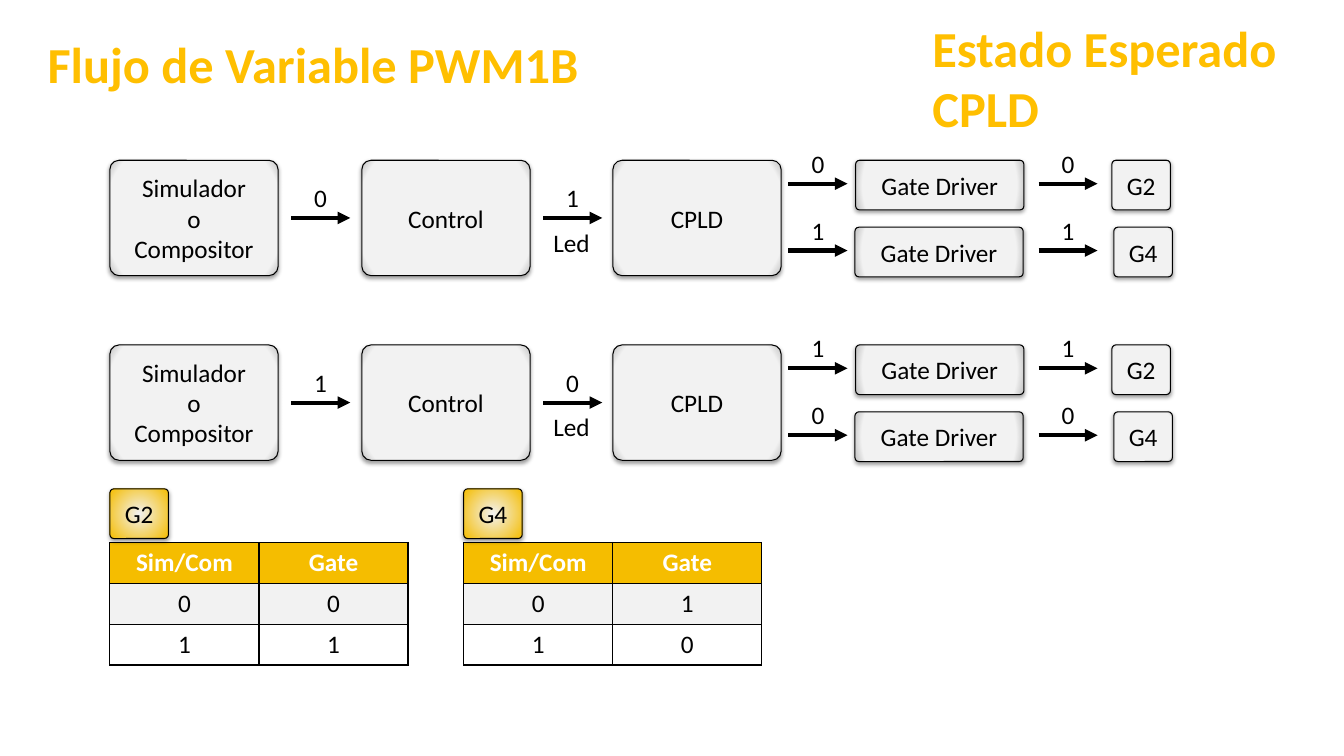
from pptx import Presentation, oxml, util as u
from pptx.dml.color import RGBColor
from pptx.enum import shapes, text
from pptx.oxml import ns

BLACK = RGBColor(0x00, 0x00, 0x00)
WHITE = RGBColor(0xFF, 0xFF, 0xFF)
GRAY = RGBColor(0xF2, 0xF2, 0xF2)
SHADE = RGBColor(0xBF, 0xBF, 0xBF)
AMBER = RGBColor(0xFF, 0xBF, 0x00)
GOLD = RGBColor(0xF5, 0xBD, 0x00)
CENTER = text.PP_ALIGN.CENTER

STAGE = (120.2, 82.4)
DRIVER = (120.2, 35.5)
GATE = (41.8, 35.5)
ARROW = 42.2


def element(xml):
    return oxml.parse_xml(xml.replace(">", f" {ns.nsdecls('a')}>", 1))


class Diagram:
    font = "Calibri"
    size = 18

    def __init__(self, slide):
        self.slide = slide

    def fill_text(self, frame, lines, color=BLACK, size=None, bold=False, align=CENTER):
        frame.text = lines
        for paragraph in frame.paragraphs:
            paragraph.alignment = align
            paragraph.font.name = self.font
            paragraph.font.size = u.Pt(size or self.size)
            paragraph.font.bold = bold
            paragraph.font.color.rgb = color

    def label(self, x, y, width, lines):
        box = self.slide.shapes.add_textbox(u.Pt(x), u.Pt(y), u.Pt(width), u.Pt(29))
        box.text_frame.word_wrap = True
        self.fill_text(box.text_frame, lines)

    def heading(self, x, y, width, height, lines):
        box = self.slide.shapes.add_textbox(u.Pt(x), u.Pt(y), u.Pt(width), u.Pt(height))
        frame = box.text_frame
        frame.word_wrap = True
        frame.margin_left = frame.margin_top = frame.margin_right = frame.margin_bottom = 0
        self.fill_text(frame, lines, AMBER, 36, True, text.PP_ALIGN.LEFT)

    def block(self, x, y, size, lines, edge=SHADE, plateau=88):
        width, height = size
        block = self.slide.shapes.add_shape(
            shapes.MSO_SHAPE.ROUNDED_RECTANGLE, u.Pt(x), u.Pt(y), u.Pt(width), u.Pt(height))
        block.adjustments[0] = 0.08
        block.line.color.rgb = BLACK
        block.line.width = u.Pt(0.75)
        block.fill.background()
        stops = "".join(
            f'<a:gs pos="{position * 1000}"><a:srgbClr val="{color}"/></a:gs>'
            for position, color in ((0, GRAY), (plateau, GRAY), (100, edge)))
        properties = block._element.spPr
        properties.replace(properties.find(ns.qn("a:noFill")), element(
            f'<a:gradFill rotWithShape="1"><a:gsLst>{stops}</a:gsLst><a:path path="circle">'
            '<a:fillToRect l="50000" t="50000" r="50000" b="50000"/></a:path></a:gradFill>'))
        block.shadow.inherit = False
        properties.find(ns.qn("a:effectLst")).append(element(
            f'<a:outerShdw blurRad="{u.Pt(3.1)}" dist="{u.Pt(1.6)}" dir="5400000" rotWithShape="0">'
            f'<a:srgbClr val="{BLACK}"><a:alpha val="38000"/></a:srgbClr></a:outerShdw>'))
        frame = block.text_frame
        frame.word_wrap = True
        frame.vertical_anchor = text.MSO_ANCHOR.MIDDLE
        self.fill_text(frame, lines)

    def signal(self, x, y, value):
        arrow = self.slide.shapes.add_connector(
            shapes.MSO_CONNECTOR.STRAIGHT, u.Pt(x), u.Pt(y), u.Pt(x + ARROW), u.Pt(y))
        arrow.line.color.rgb = BLACK
        arrow.line.width = u.Pt(3)
        properties = arrow._element.spPr
        properties.find(ns.qn("a:ln")).append(element('<a:tailEnd type="triangle"></a:tailEnd>'))
        properties.append(element("<a:effectLst></a:effectLst>"))
        self.label(x + 9, y - 29, 24, value)

    def truth_table(self, x, y, rows):
        table = self.slide.shapes.add_table(
            len(rows), 2, u.Pt(x), u.Pt(y), u.Pt(213), u.Pt(87.6)).table
        table.horz_banding = False
        for column in table.columns:
            column.width = u.Pt(106.5)
        for r, (values, fill) in enumerate(zip(rows, (GOLD, GRAY, WHITE))):
            table.rows[r].height = u.Pt(29.2)
            for c, value in enumerate(values):
                cell = table.cell(r, c)
                self.fill_text(cell.text_frame, value, BLACK if r else WHITE, bold=r == 0)
                borders = cell._tc.get_or_add_tcPr()
                for side in ("lnL", "lnR", "lnT", "lnB"):
                    borders.append(element(
                        f'<a:{side} w="{u.Pt(1)}"><a:solidFill><a:srgbClr val="{BLACK}"/>'
                        f'</a:solidFill></a:{side}>'))
                cell.fill.solid()
                cell.fill.fore_color.rgb = fill

    def flow(self, top, source, led, gates):
        middle = top + 41.2
        stages = ((78.5, "Simulador\no\nCompositor"), (258.5, "Control"), (437.8, "CPLD"))
        for x, name in stages:
            self.block(x, top, STAGE, name)
        self.signal(208, middle, source)
        self.signal(388, middle, led)
        self.label(386, top + 44, 44.6, "Led")
        for i, (gate, value) in enumerate(zip(("G2", "G4"), gates)):
            y = top + 47.8 * i
            self.block(611.2 - 0.5 * i, y, DRIVER, "Gate Driver")
            self.block(794.2 + 1.4 * i, y, GATE, gate)
            for x in (563.2, 741.8):
                self.signal(x, y + 16.7, value)


def main():
    deck = Presentation()
    deck.slide_width, deck.slide_height = u.Pt(960), u.Pt(540)
    diagram = Diagram(deck.slides.add_slide(deck.slide_layouts[6]))

    diagram.heading(34, 24, 600, 44, "Flujo de Variable PWM1B")
    diagram.heading(666, 12.2, 276, 87, "Estado Esperado\nCPLD")
    diagram.flow(114.5, "0", "1", "01")
    diagram.flow(246.4, "1", "0", "10")

    for x, gate, outputs in ((78.5, "G2", "01"), (331.2, "G4", "10")):
        diagram.truth_table(x, 387.4, [("Sim/Com", "Gate"), *zip("01", outputs)])
        diagram.block(x, 349.2, GATE, gate, GOLD, 0)

    deck.save("out.pptx")


if __name__ == "__main__":
    main()
